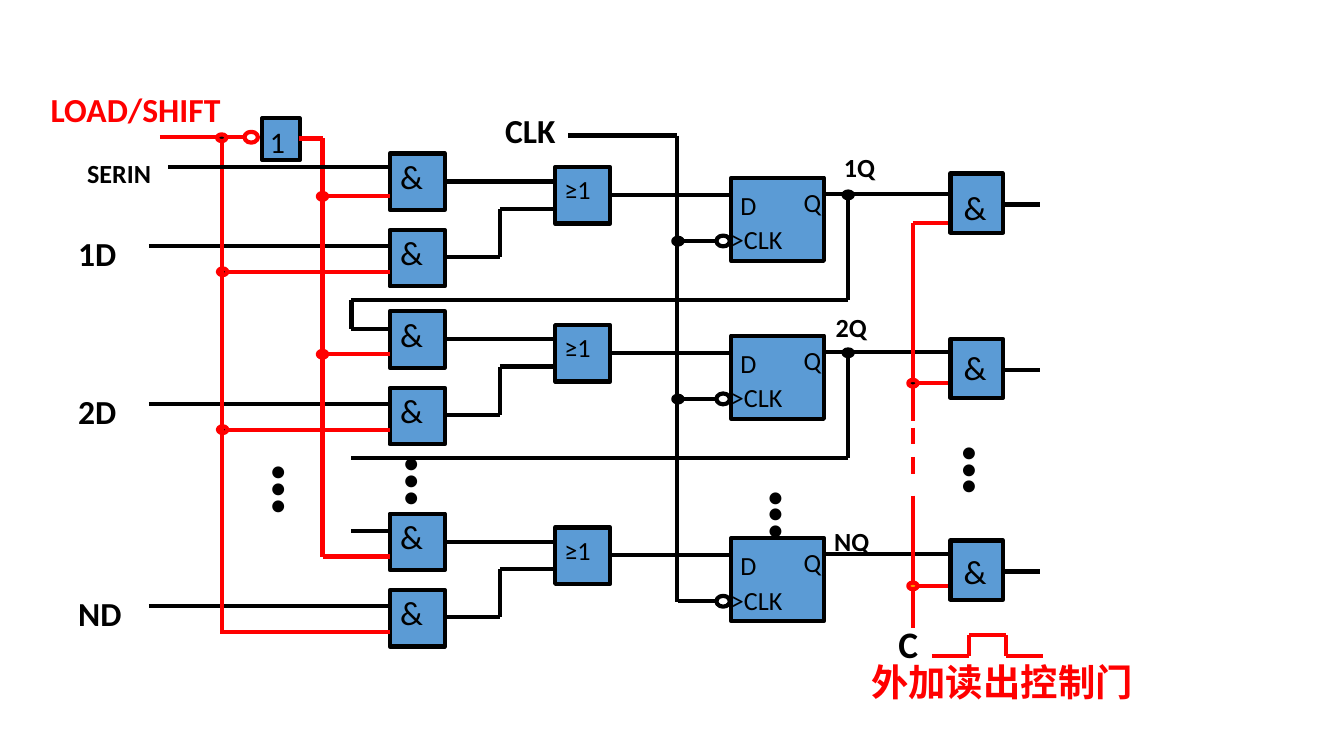
from itertools import pairwise

from lxml import etree
from pptx import Presentation
from pptx.dml.color import RGBColor
from pptx.enum.dml import MSO_LINE
from pptx.enum.shapes import MSO_CONNECTOR, MSO_SHAPE
from pptx.enum.text import MSO_ANCHOR
from pptx.oxml.ns import qn
from pptx.util import Pt

COLORS = {"black": "000000", "red": "FF0000", "gate": "5B9BD5", "orange": "FF9900"}
STROKE = 2.25
GATE_W, GATE_H = 29.5, 30.2


def rgb(name):
    return RGBColor.from_string(COLORS[name])


def label(slide, text, left, top, width, height, size=18, color="black", bold=False,
          font="Calibri", vertical=False, anchor=MSO_ANCHOR.TOP, spacing=None):
    box = slide.shapes.add_textbox(Pt(left), Pt(top), Pt(width), Pt(height))
    frame = box.text_frame
    frame.word_wrap = True
    frame.vertical_anchor = anchor
    if vertical:
        frame._txBody.bodyPr.set("vert", "eaVert")
    paragraph = frame.paragraphs[0]
    if spacing:
        paragraph.line_spacing = spacing
    run = paragraph.add_run()
    run.text = text
    run.font.name, run.font.size, run.font.bold = font, Pt(size), bold
    run.font.color.rgb = rgb(color)
    east_asian = etree.SubElement(run.font._element, qn("a:ea"))
    east_asian.set("typeface", font)


def wire(slide, *points, color="black", dash=None):
    """Join the points one after another with straight lines."""
    for (x1, y1), (x2, y2) in pairwise(points):
        line = slide.shapes.add_connector(
            MSO_CONNECTOR.STRAIGHT, Pt(x1), Pt(y1), Pt(x2), Pt(y2))
        line.line.color.rgb = rgb(color)
        line.line.width = Pt(STROKE)
        if dash:
            line.line.dash_style = dash
        etree.SubElement(line._element.spPr, qn("a:effectLst"))


def outline(slide, kind, left, top, width, height, fill=None, color="black"):
    part = slide.shapes.add_shape(kind, Pt(left), Pt(top), Pt(width), Pt(height))
    part.shadow.inherit = False
    if fill:
        part.fill.solid()
        part.fill.fore_color.rgb = rgb(fill)
    else:
        part.fill.background()
    part.line.color.rgb = rgb(color)
    part.line.width = Pt(STROKE)


def block(slide, left, top, width=GATE_W, height=GATE_H):
    outline(slide, MSO_SHAPE.RECTANGLE, left, top, width, height, fill="gate")


def bubble(slide, left, top, color="black"):
    outline(slide, MSO_SHAPE.OVAL, left, top, 7.2, 5.8, color=color)


def junction(slide, x, y, color="black", fill="black"):
    outline(slide, MSO_SHAPE.OVAL, x - 2.5, y - 1.8, 5, 3.6, fill=fill, color=color)


def dots(slide, left, top, height):
    label(slide, "•••", left, top, 36, height, vertical=True)


def stage(slide, left, top, number, q_left, q_top, first=False, last=False):
    """One bit of the register; the box starts at its upper AND gate."""
    def at(x, y):
        return left + x, top + y

    # AND-OR selector
    for gate_top in (0, 41):
        block(slide, *at(0, gate_top))
        label(slide, "&", *at(-1.6, gate_top - 2.4), 29.5, 28.8)
    block(slide, *at(88.6, 7.4))
    label(slide, "≥1", *at(86.5, 7.4), 45.4, 24.5, size=14)
    wire(slide, at(29.5, 15), at(88.6, 15))
    wire(slide, at(29.5, 55.4), at(59, 55.4), at(59, 29.6), at(88.6, 29.6))
    wire(slide, at(118, 22.2), at(183, 22.2))

    # Flip-flop
    block(slide, *at(183, 13), 49.6, 44.6)
    bubble(slide, *at(175, 44))
    label(slide, ">CLK", *at(175.7, 34.2), 49.7, 24.5, size=14)
    label(slide, "Q", *at(214.6, 14.2), 27.4, 24.5, size=14)
    label(slide, "D", *at(180.7, 15.7), 27.4, 24.5, size=14)
    wire(slide, at(232, 21.8), at(302, 21.8))
    wire(slide, at(154.4, 47), at(175, 47))
    label(slide, number + "Q", *at(q_left, q_top), 44.6, 24.5, size=14, bold=True)

    # Inputs
    wire(slide, at(-90, 63.4), at(0, 63.4), color="red")
    wire(slide, at(-36, 23), at(0, 23), color="red")
    wire(slide, at(-129, 49.6), at(0, 49.6))
    label(slide, number + "D", *at(-174, 39), 49.7, 28.8, bold=True)
    if not first:
        wire(slide, at(-20.5, 9.3), at(0, 9.3))

    # Link to the next stage, and joints with the buses
    if not last:
        wire(slide, at(245.6, 21.8), at(245.6, 78.6), at(-20.5, 78.6))
        junction(slide, *at(245.6, 22.2))
        junction(slide, *at(154.4, 47))
        junction(slide, *at(-89.5, 63.4), color="red")
        junction(slide, *at(-36, 23), color="red")
    if first:
        wire(slide, at(-20.5, 78.6), at(-20.5, 93.9))


def load_control(slide, left, top):
    """Mode input with its inverter, two buses and the serial input."""
    def at(x, y):
        return left + x, top + y

    label(slide, "LOAD/SHIFT", *at(0, 0), 181, 28.8, color="red", bold=True)
    block(slide, *at(120.4, 19.4), 20.2, 22.3)
    label(slide, "1", *at(117.5, 18.6), 19.4, 26.6, size=16)
    bubble(slide, *at(111, 26.6), color="red")
    wire(slide, at(65.7, 29.4), at(111.5, 29.4), color="red")
    wire(slide, at(98.8, 29.4), at(98.8, 295.8), color="red")
    wire(slide, at(140, 30.2), at(152.8, 30.2), at(152.8, 254.6), color="red")
    junction(slide, *at(98.8, 29.8), color="red")
    wire(slide, at(70, 45.3), at(188, 45.3))
    label(slide, "SERIN", *at(19.6, 36.6), 64, 24.5, size=14, bold=True)


def clock(slide, left, top):
    label(slide, "CLK", left, top, 59, 28.8, bold=True)
    wire(slide, (left + 41, top + 17.2), (left + 99.4, top + 17.2),
         (left + 99.4, top + 267.2))


def readout(slide, left, top):
    """Control line C, its pulse and the three output gates."""
    def at(x, y):
        return left + x, top + y

    # Control line, broken where stages are left out
    bus = 14.9
    wire(slide, at(bus, 0), at(bus, 105.8), color="red")
    wire(slide, at(bus, 109.5), at(bus, 136), color="red", dash=MSO_LINE.DASH)
    wire(slide, at(bus, 146), at(bus, 216.6), color="red")
    dots(slide, *at(25.5, 112), 61)

    # Output gates: gate top, label top, control tap
    for gate_top, sign_top, tap in ((-26.6, -23, 0), (62, 62.6, 85.7), (170, 171.8, 194.3)):
        wire(slide, at(bus, tap), at(38, tap), color="red")
        wire(slide, at(63, gate_top + 16.6), at(83, gate_top + 16.6))
        block(slide, *at(35, gate_top), 28.1, 31.7)
        label(slide, "&", *at(35, sign_top), 39.6, 28.8)
    junction(slide, *at(bus, 85.7), color="red")
    junction(slide, *at(bus, 194.3), color="red", fill="orange")

    # Pulse and caption
    label(slide, "C", *at(0, 209.5), 29.5, 26, size=20, bold=True)
    wire(slide, at(25, 231.8), at(45, 231.8), at(45, 220.8), at(64.6, 220.8),
         at(64.6, 231.8), at(84.6, 231.8), color="red")
    label(slide, "外加读出控制门", *at(-14.6, 236), 210, 22.3, size=20, color="red",
          bold=True, font="Noto Sans CJK JP", anchor=MSO_ANCHOR.MIDDLE, spacing=0.9)


def main():
    deck = Presentation()
    deck.slide_width, deck.slide_height = Pt(720), Pt(405)
    slide = deck.slides.add_slide(deck.slide_layouts[6])

    stage(slide, 208.8, 82.2, "1", 236.2, -4.4, first=True)
    stage(slide, 208.8, 166.8, "2", 231.8, -3.4)
    stage(slide, 208.8, 275.2, "N", 231, 2.7, last=True)
    load_control(slide, 20, 44)
    clock(slide, 263.5, 55.4)
    readout(slide, 474.2, 119.6)

    # Stages left out
    for left, top, height in ((129.6, 242, 51), (396, 255.6, 61), (200.9, 237.6, 118)):
        dots(slide, left, top, height)
    deck.save("out.pptx")


if __name__ == "__main__":
    main()
